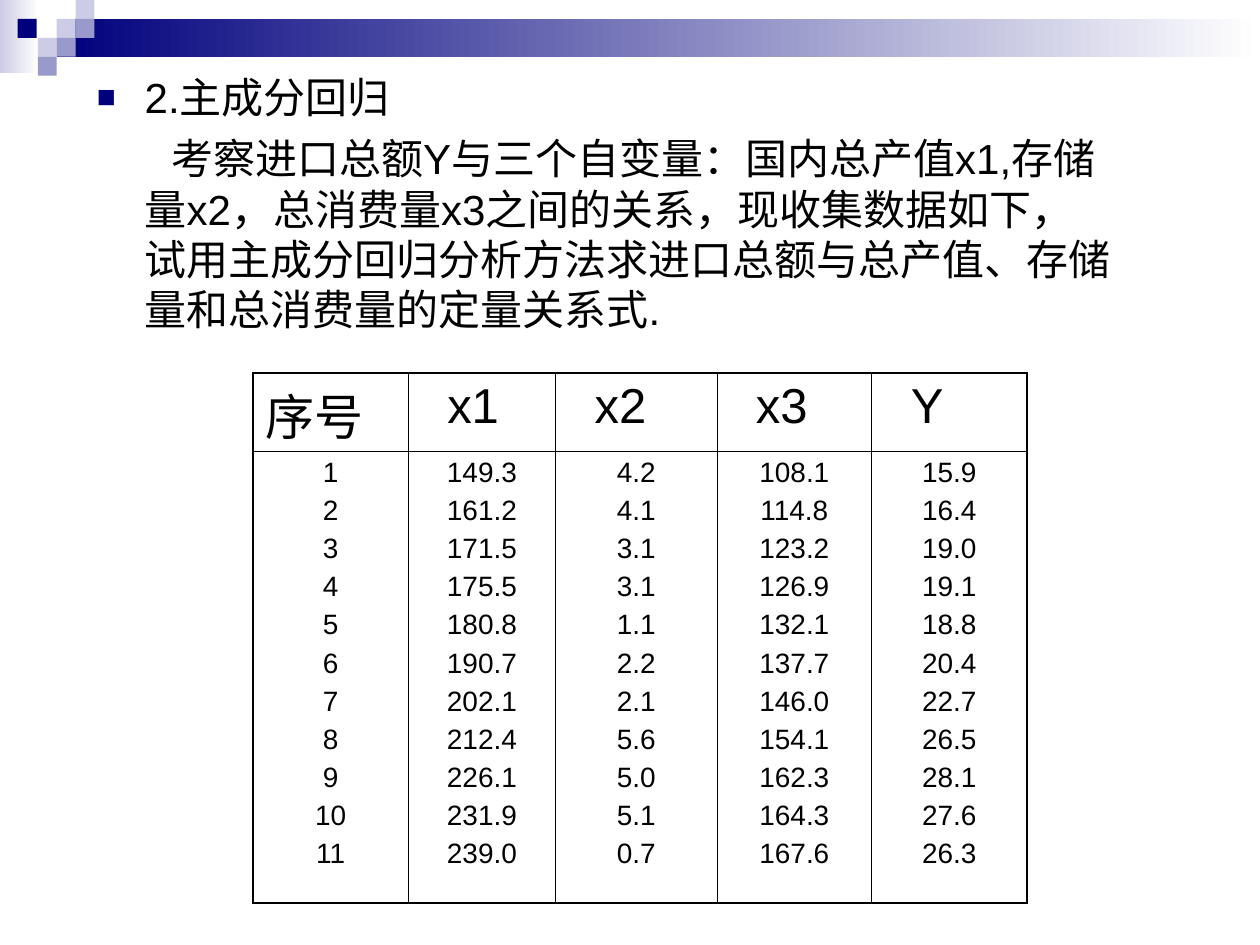
from dataclasses import dataclass
from typing import Optional

import pptx
import pptx.dml.color
import pptx.enum.shapes
import pptx.enum.text
import pptx.oxml
import pptx.oxml.ns
import pptx.util

Inches = pptx.util.Inches
Pt = pptx.util.Pt
RGBColor = pptx.dml.color.RGBColor

BLACK = RGBColor(0x00, 0x00, 0x00)
WHITE = RGBColor(0xFF, 0xFF, 0xFF)
NAVY = RGBColor(0x00, 0x00, 0x7D)
LAVENDER = RGBColor(0xCC, 0xCC, 0xE6)
PERIWINKLE = RGBColor(0x99, 0x99, 0xCC)
FONT = "Arial"
SQUARE = 0.15
OUTER_LINE = Pt(1.08)
INNER_LINE = Pt(0.45)


@dataclass(frozen=True)
class Block:
    left: float
    top: float
    width: float
    height: float
    color: RGBColor
    fade_to: Optional[RGBColor] = None


@dataclass(frozen=True)
class Column:
    heading: str
    width: float
    values: str
    heading_indent: float = 0.21


BLOCKS = [
    Block(0, 0, 0.31, 0.58, LAVENDER, WHITE),
    Block(0.45, 0.15, 9.55, 0.3, NAVY, WHITE),
] + [
    Block(left, top, SQUARE, SQUARE, color)
    for left, top, color in [
        (0.45, 0.15, LAVENDER),
        (0.6, 0, LAVENDER),
        (0.6, 0.15, PERIWINKLE),
        (0.3, 0.3, LAVENDER),
        (0.14, 0.15, NAVY),
        (0.45, 0.3, PERIWINKLE),
        (0.3, 0.45, PERIWINKLE),
    ]
]

COLUMNS = [
    Column("序号", 1.23, "1 2 3 4 5 6 7 8 9 10 11", 0),
    Column("x1", 1.17, "149.3 161.2 171.5 175.5 180.8 190.7 202.1 212.4 226.1 231.9 239.0"),
    Column("x2", 1.28, "4.2 4.1 3.1 3.1 1.1 2.2 2.1 5.6 5.0 5.1 0.7"),
    Column("x3", 1.23, "108.1 114.8 123.2 126.9 132.1 137.7 146.0 154.1 162.3 164.3 167.6"),
    Column("Y", 1.23, "15.9 16.4 19.0 19.1 18.8 20.4 22.7 26.5 28.1 27.6 26.3"),
]
ROW_HEIGHTS = [0.62, 3.59]

HEADING = "2.主成分回归"
QUESTION = (
    "考察进口总额Y与三个自变量：国内总产值x1,存储量x2，总消费量x3之间的关系，"
    "现收集数据如下，试用主成分回归分析方法求进口总额与总产值、存储量和总消费量的定量关系式."
)


def add_block(slide, block: Block) -> None:
    shape = slide.shapes.add_shape(
        pptx.enum.shapes.MSO_SHAPE.RECTANGLE,
        Inches(block.left), Inches(block.top), Inches(block.width), Inches(block.height),
    )
    shape.shadow.inherit = False
    shape.line.fill.background()
    if block.fade_to is None:
        shape.fill.solid()
        shape.fill.fore_color.rgb = block.color
    else:
        shape.fill.gradient()
        shape.fill.gradient_angle = 0
        for stop, color in zip(shape.fill.gradient_stops, (block.color, block.fade_to)):
            stop.color.rgb = color


def style_paragraph(paragraph, size: float, space_before: float) -> None:
    paragraph.space_before = Pt(space_before)
    paragraph.font.name = FONT
    paragraph.font.size = Pt(size)
    paragraph.font.color.rgb = BLACK


def set_indent(paragraph, margin: float, indent: float) -> None:
    properties = paragraph._p.get_or_add_pPr()
    properties.set("marL", str(Inches(margin)))
    properties.set("indent", str(Inches(indent)))


def add_bullet(paragraph, character: str, color: RGBColor, percent: int) -> None:
    namespace = pptx.oxml.ns.nsdecls("a")
    properties = paragraph._p.get_or_add_pPr()
    elements = [
        f'<a:buClr {namespace}><a:srgbClr val="{color}"/></a:buClr>',
        f'<a:buSzPct {namespace} val="{percent * 1000}"/>',
        f'<a:buFont {namespace} typeface="{FONT}"/>',
        f'<a:buChar {namespace} char="{character}"/>',
    ]
    position = len(properties.findall(pptx.oxml.ns.qn("a:spcBef")))
    for offset, element in enumerate(elements):
        properties.insert(position + offset, pptx.oxml.parse_xml(element))


def add_body(slide) -> None:
    text_box = slide.shapes.add_textbox(Inches(0.67), Inches(0.52), Inches(8.28), Inches(4.25))
    frame = text_box.text_frame
    frame.word_wrap = True
    heading, question = frame.paragraphs[0], frame.add_paragraph()
    for paragraph, text, indent in [(heading, HEADING, -0.38), (question, QUESTION, 0.21)]:
        paragraph.text = text
        style_paragraph(paragraph, 24, 6)
        set_indent(paragraph, 0.38, indent)
    add_bullet(heading, "■", NAVY, 75)


def set_borders(cell, left: int, right: int, top: int, bottom: int) -> None:
    properties = cell._tc.get_or_add_tcPr()
    for side, width in [("L", left), ("R", right), ("T", top), ("B", bottom)]:
        properties.append(pptx.oxml.parse_xml(
            f'<a:ln{side} {pptx.oxml.ns.nsdecls("a")} w="{int(width)}">'
            f'<a:solidFill><a:srgbClr val="{BLACK}"/></a:solidFill></a:ln{side}>'
        ))


def add_data_table(slide, columns: list[Column]) -> None:
    table = slide.shapes.add_table(
        len(ROW_HEIGHTS), len(columns), Inches(2.01), Inches(2.96),
        Inches(sum(column.width for column in columns)), Inches(sum(ROW_HEIGHTS)),
    ).table
    table.first_row = False
    table.horz_banding = False
    for row, height in zip(table.rows, ROW_HEIGHTS):
        row.height = Inches(height)
    for index, column in enumerate(columns):
        table.columns[index].width = Inches(column.width)
        left = OUTER_LINE if index == 0 else INNER_LINE
        right = OUTER_LINE if index == len(columns) - 1 else INNER_LINE
        heading_cell, values_cell = table.cell(0, index), table.cell(1, index)
        set_borders(heading_cell, left, right, OUTER_LINE, INNER_LINE)
        set_borders(values_cell, left, right, INNER_LINE, OUTER_LINE)
        heading_cell.fill.background()
        values_cell.fill.background()

        heading = heading_cell.text_frame.paragraphs[0]
        heading.text = column.heading
        style_paragraph(heading, 28, 7)
        set_indent(heading, 0, column.heading_indent)

        values_cell.text_frame.text = "\n".join(column.values.split())
        for paragraph in values_cell.text_frame.paragraphs:
            style_paragraph(paragraph, 16, 4)
            paragraph.alignment = pptx.enum.text.PP_ALIGN.CENTER


def main() -> None:
    presentation = pptx.Presentation()
    presentation.slide_width = Inches(10)
    presentation.slide_height = Inches(7.5)
    slide = presentation.slides.add_slide(presentation.slide_layouts[6])
    for block in BLOCKS:
        add_block(slide, block)
    add_body(slide)
    add_data_table(slide, COLUMNS)
    presentation.save("out.pptx")


if __name__ == "__main__":
    main()
